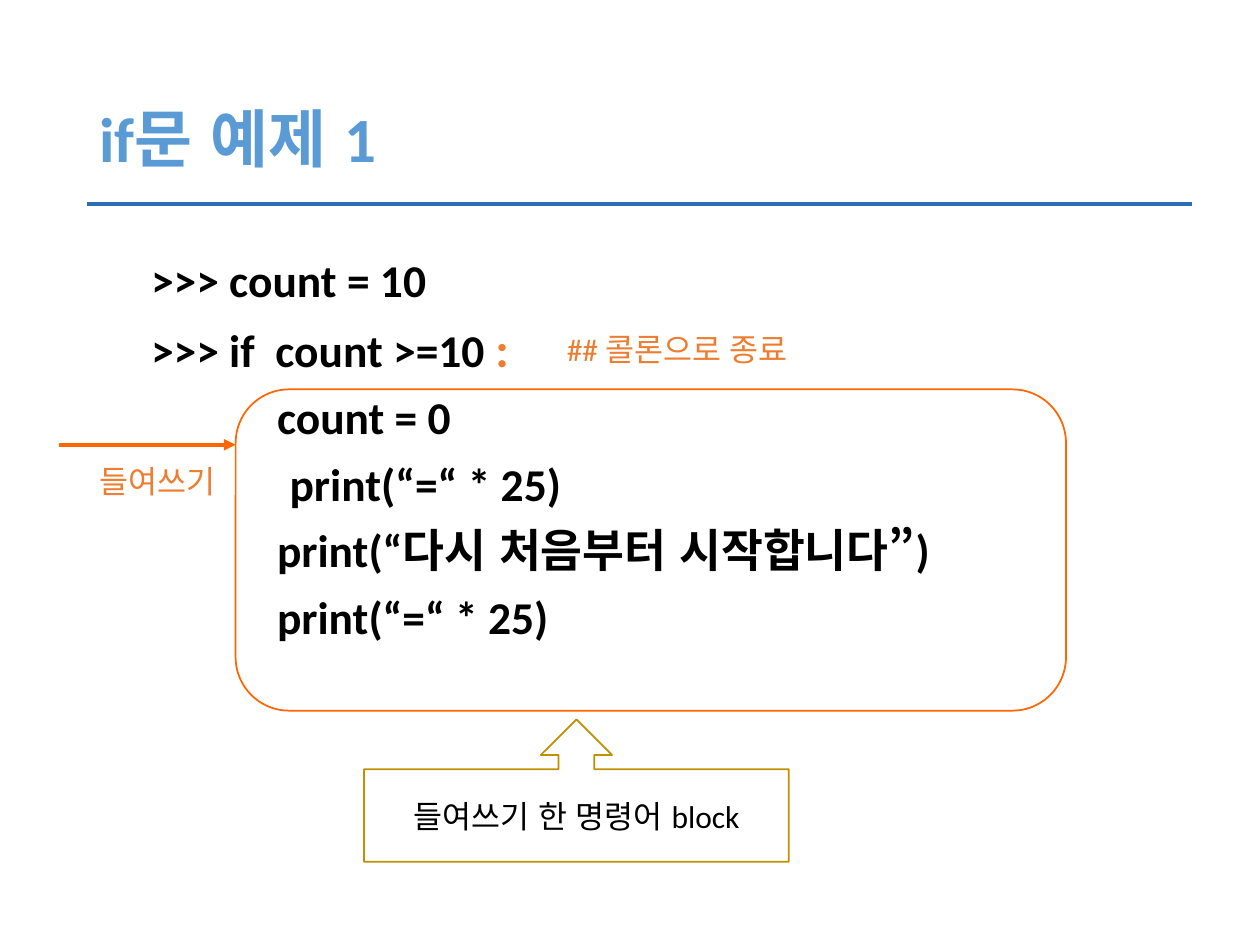
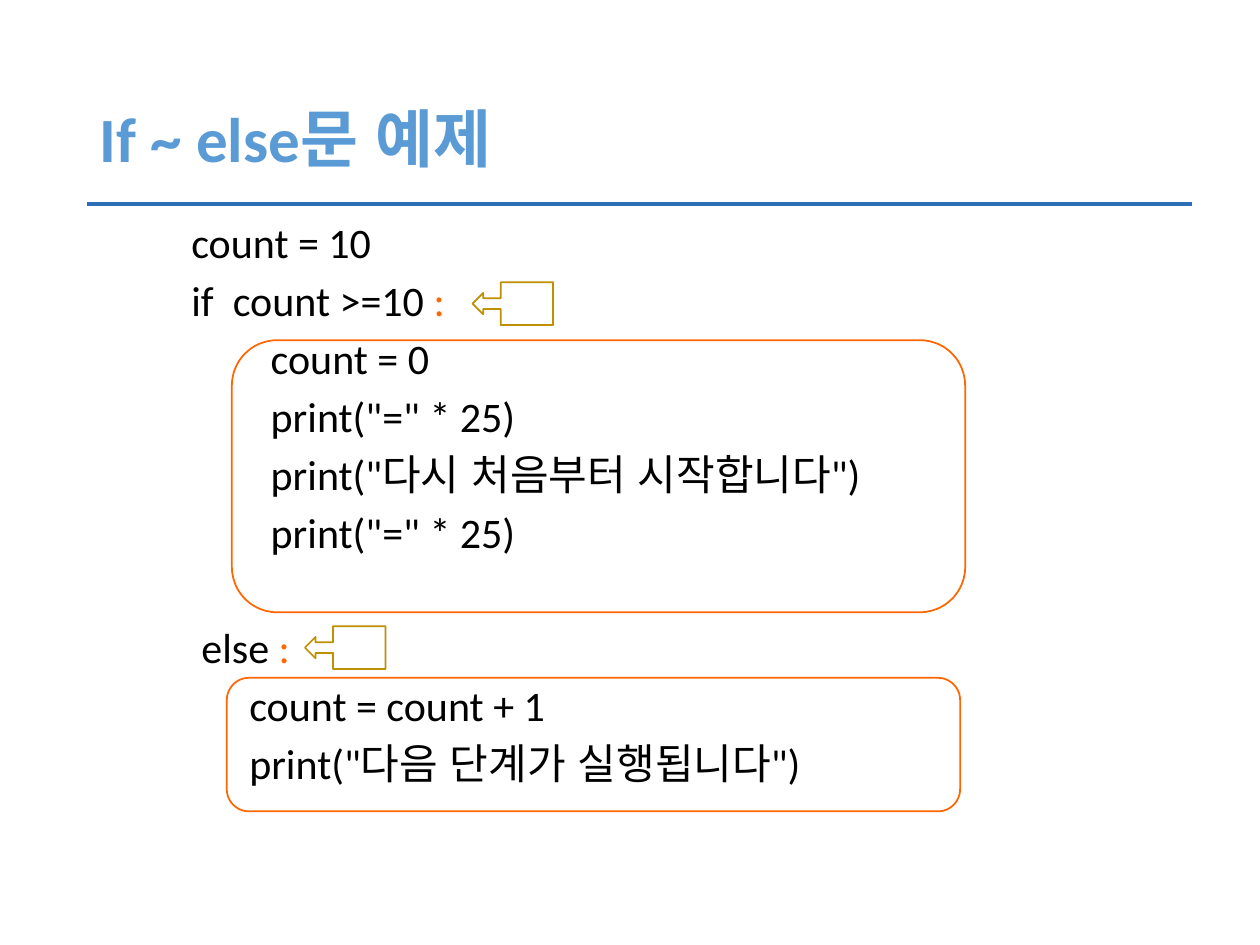
import pptx
import pptx.util
import pptx.dml.color
import pptx.enum.lang
import pptx.enum.shapes
import pptx.enum.text
import pptx.oxml.ns

Inches = pptx.util.Inches
Pt = pptx.util.Pt
SHAPE = pptx.enum.shapes.MSO_SHAPE
ANCHOR = pptx.enum.text.MSO_ANCHOR
ALIGN = pptx.enum.text.PP_ALIGN

FONT = "Calibri"
COLORS = {
    "title": "5B9BD5",
    "rule": "2A6FB5",
    "code": "000000",
    "note": "ED7D31",
    "block": "FF6600",
    "callout": "BF9000",
}


def rgb(color):
    """Return the named colour."""
    return pptx.dml.color.RGBColor.from_string(COLORS[color])


def add_run(paragraph, text, size, color="code", bold=False):
    """Append one formatted run."""
    run = paragraph.add_run()
    run.text = text
    run.font.name = FONT
    run.font.size = Pt(size)
    run.font.bold = bold
    run.font.color.rgb = rgb(color)
    run.font.language_id = pptx.enum.lang.MSO_LANGUAGE_ID.KOREAN


def add_line(slide, start, end, color, arrow=False):
    """Draw a straight line, with an arrowhead at its end if asked."""
    line = slide.shapes.add_connector(
        pptx.enum.shapes.MSO_CONNECTOR.STRAIGHT,
        *(Inches(length) for length in start + end))
    line.line.color.rgb = rgb(color)
    line.line.width = Pt(2.25)
    properties = line._element.spPr
    if arrow:
        stroke = properties.find(pptx.oxml.ns.qn("a:ln"))
        stroke.append(stroke.makeelement(
            pptx.oxml.ns.qn("a:tailEnd"), {"type": "triangle"}))
    properties.append(properties.makeelement(pptx.oxml.ns.qn("a:effectLst")))


def add_outline(slide, preset, box, color):
    """Draw an unfilled preset shape with a thin outline."""
    outline = slide.shapes.add_shape(preset, *(Inches(length) for length in box))
    outline.shadow.inherit = False
    outline.fill.background()
    outline.line.color.rgb = rgb(color)
    outline.line.width = Pt(1)
    return outline


def add_titled_slide(deck, heading):
    """Add a slide with its title and the rule beneath it."""
    slide = deck.slides.add_slide(deck.slide_layouts[5])
    title = slide.shapes.title
    title.left, title.top = Inches(0.69), Inches(0.4)
    title.width, title.height = Inches(8.62), Inches(1.45)
    title.text_frame.vertical_anchor = ANCHOR.MIDDLE
    paragraph = title.text_frame.paragraphs[0]
    paragraph.alignment = ALIGN.LEFT
    paragraph.line_spacing = 0.9
    add_run(paragraph, heading, 36, "title", True)
    add_line(slide, (0.69, 1.62), (9.46, 1.62), "rule")
    return slide


def add_text_box(slide, box):
    """Add a wrapping text box and return its text frame."""
    frame = slide.shapes.add_textbox(*(Inches(length) for length in box)).text_frame
    frame.word_wrap = True
    return frame


def add_code(slide, box, lines, spacing):
    """Fill a box with lines given as indent, space before and runs."""
    code = add_text_box(slide, box)
    for number, (indent, before, runs) in enumerate(lines):
        paragraph = code.add_paragraph() if number else code.paragraphs[0]
        paragraph.line_spacing = spacing
        if number:
            paragraph.space_before = Pt(before)
        properties = paragraph._p.get_or_add_pPr()
        properties.set("marL", str(Inches(indent)))
        properties.set("indent", "0")
        for run in runs:
            add_run(paragraph, *run)


def add_note(slide, box, text):
    """Write a short remark beside the code."""
    add_run(add_text_box(slide, box).paragraphs[0], text, 18, "note")


def add_block_callout(slide, box, label):
    """Draw the callout that points up at the indented block."""
    callout = add_outline(slide, SHAPE.UP_ARROW_CALLOUT, box, "callout")
    callout.text_frame.word_wrap = True
    callout.text_frame.vertical_anchor = ANCHOR.MIDDLE
    paragraph = callout.text_frame.paragraphs[0]
    paragraph.alignment = ALIGN.CENTER
    add_run(paragraph, label, 18)


def build_if_slide(deck):
    """Build the if example with its indented block."""
    slide = add_titled_slide(deck, "if문 예제 1")

    def code(text):
        return text, 26, "code", True

    prompt, body, gap = 0.41, 1.41, 10
    add_code(slide, (0.69, 2, 8.62, 4.76), [
        (prompt, gap, [code(">>> count = 10")]),
        (prompt, gap, [code(">>> if  count >=10 "), (":", 28, "note", True)]),
        (body, gap, [code("count = 0")]),
        (1.51, gap, [code("print(“=“ * 25)")]),
        (body, gap, [code("print(“다시 처음부터 시작합니다”)")]),
        (body, gap, [code("print(“=“ * 25)")]),
    ], 0.9)
    add_note(slide, (4.4, 2.57, 3, 0.4), "## 콜론으로 종료")
    add_note(slide, (0.69, 3.62, 1.2, 0.4), "들여쓰기")
    add_outline(slide, SHAPE.ROUNDED_RECTANGLE, (1.87, 3.09, 6.59, 2.55), "block")
    add_line(slide, (0.47, 3.53), (1.87, 3.53), "block", arrow=True)
    add_block_callout(slide, (2.89, 5.71, 3.37, 1.13), "들여쓰기 한 명령어 block")


def build_if_else_slide(deck):
    """Build the if-else example with both blocks and colon markers."""
    slide = add_titled_slide(deck, "If ~ else문 예제")
    size, gap, else_gap = 24, 10, 43
    colon = (":", size, "block")
    lines = [
        (0.75, gap, "count = 10"),
        (0.75, gap, "if  count >=10 ", colon),
        (1.38, gap, "count = 0"),
        (1.38, gap, 'print("=" * 25)'),
        (1.38, gap, 'print("다시 처음부터 시작합니다")'),
        (1.38, gap, 'print("=" * 25)'),
        (0.83, else_gap, "else ", colon),
        (1.21, gap, "count = count + 1"),
        (1.21, gap, 'print("다음 단계가 실행됩니다")'),
    ]
    add_code(slide, (0.67, 1.75, 8.92, 4.92),
             [(indent, before, [(text, size), *marks])
              for indent, before, text, *marks in lines], 0.8)
    for left, top, height in ((1.84, 2.7, 2.16), (1.8, 5.38, 1.06)):
        add_outline(slide, SHAPE.ROUNDED_RECTANGLE, (left, top, 5.82, height), "block")
    for left, top in ((3.75, 2.24), (2.42, 4.97)):
        add_outline(slide, SHAPE.LEFT_ARROW_CALLOUT, (left, top, 0.64, 0.34), "callout")


def main():
    """Build and save the deck."""
    deck = pptx.Presentation()
    deck.slide_width, deck.slide_height = Inches(10), Inches(7.5)
    build_if_slide(deck)
    build_if_else_slide(deck)
    deck.save("out.pptx")


if __name__ == "__main__":
    main()
